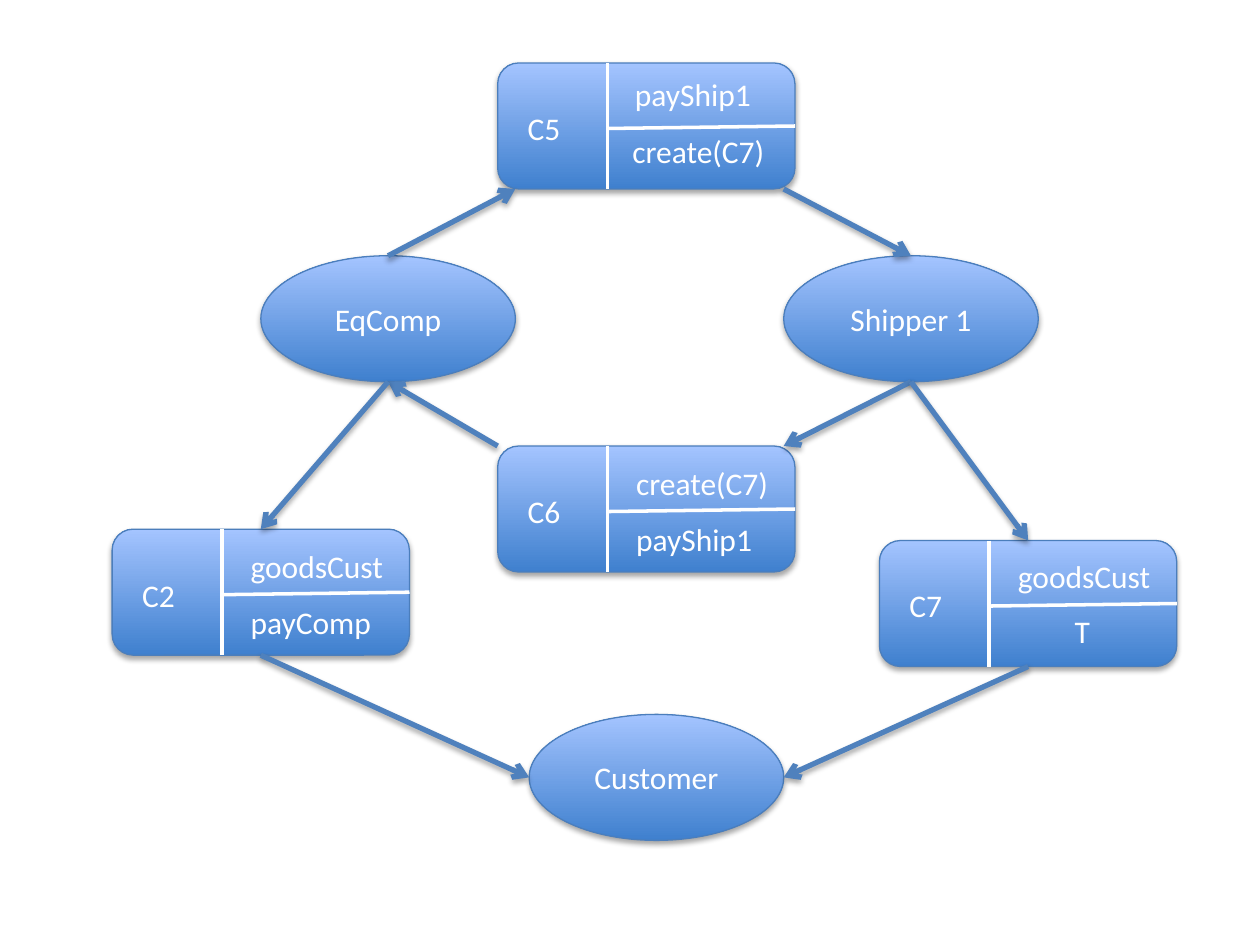
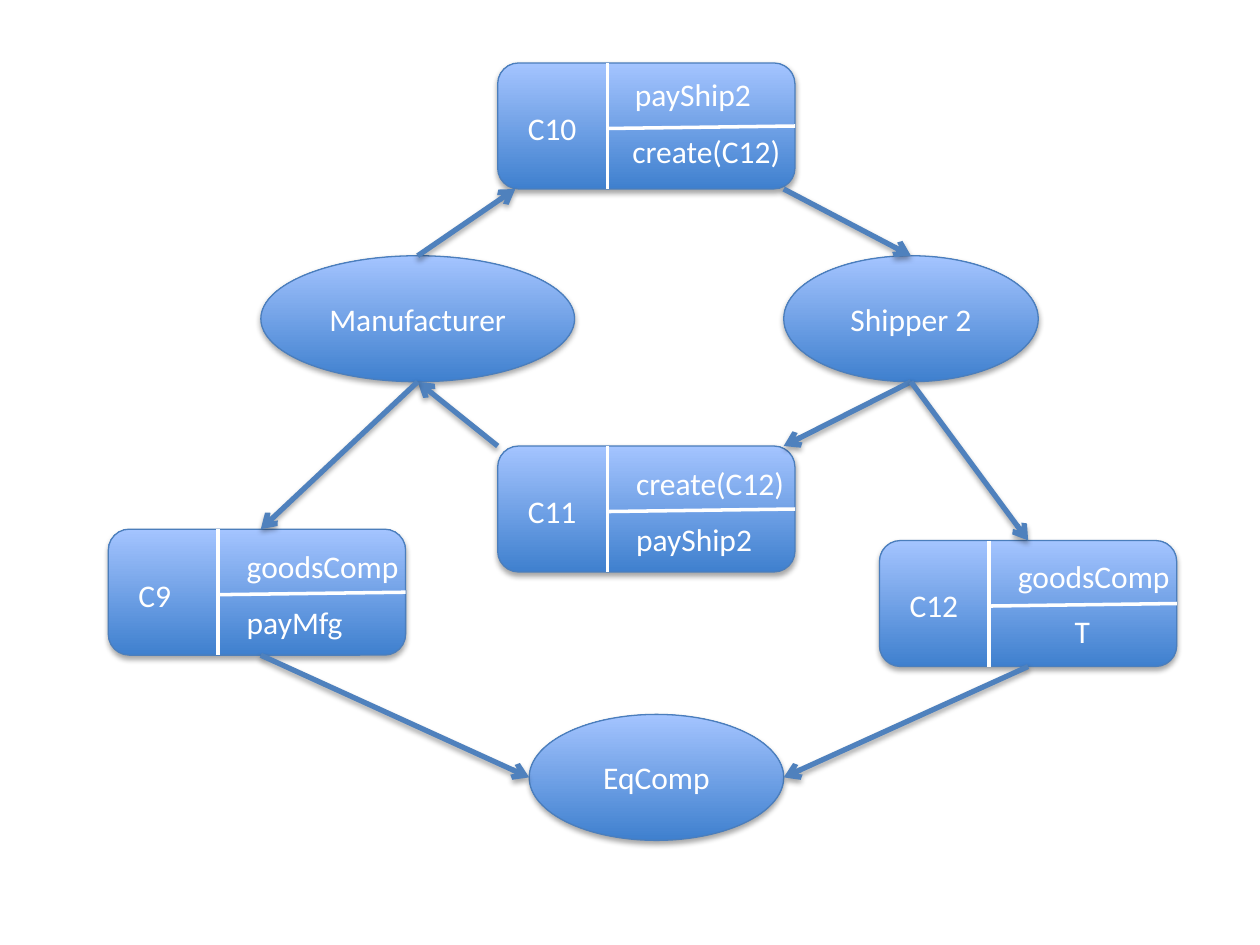
from collections import namedtuple

from lxml import etree
from pptx import Presentation
from pptx.dml.color import RGBColor
from pptx.enum import shapes, text
from pptx.oxml import ns
from pptx.util import Inches, Pt

# Shared look
FILL_BOTTOM = RGBColor(0x3F, 0x80, 0xCE)
FILL_TOP = RGBColor(0xA4, 0xC4, 0xFF)
OUTLINE = RGBColor(0x4B, 0x7E, 0xBC)
ARROW = RGBColor(0x4F, 0x81, 0xBD)
WHITE = RGBColor(0xFF, 0xFF, 0xFF)
FONT, FONT_SIZE = "Calibri", Pt(18)

# Shared sizes, in inches
NODE_W, CARD_W, HEIGHT = 2.02, 2.36, 1
SPLIT_X = 0.87      # divider between a card's label and its two terms
TEXT_H = 0.4
TEXT_WIDTHS = {"payShip1": 1.14, "payShip2": 1.14, "create(C7)": 1.27,
               "create(C12)": 1.4, "goodsCust": 1.27, "goodsComp": 1.42,
               "payComp": 1.17, "payMfg": 0.98, "T": 0.33}
LABEL_WIDTHS = {2: 0.46, 3: 0.59}   # by number of characters

# Offsets of label, upper term and lower term inside a card
SPOTS = ((0.14, 0.32), (1, 0.09), (1, 0.54))
TOP_SPOTS = ((0.14, 0.32), (0.99, 0.05), (0.97, 0.5))
RIGHT_SPOTS = ((0.14, 0.31), (1, 0.08), (1.45, 0.52))


class Box(namedtuple("Box", "x y w h")):
    def point(self, across, down):
        """Point at the given fractions of the width and height."""
        return self.x + across * self.w, self.y + down * self.h


def add_shadow(effects):
    shadow = etree.SubElement(effects, ns.qn("a:outerShdw"), blurRad="40000",
                              dist="23000", dir="5400000", rotWithShape="0")
    color = etree.SubElement(shadow, ns.qn("a:srgbClr"), val="000000")
    etree.SubElement(color, ns.qn("a:alpha"), val="35000")


def add_run(tf, words):
    r = tf.paragraphs[0].add_run()
    r.text = words
    r.font.name, r.font.size = FONT, FONT_SIZE
    r.font.color.rgb = WHITE


def add_body(parent, kind, box):
    """Gradient shape with outline and shadow."""
    sp = parent.add_shape(kind, *map(Inches, box))
    sp.fill.gradient()
    sp.fill.gradient_angle = 90
    for stop, color in zip(sp.fill.gradient_stops, (FILL_BOTTOM, FILL_TOP)):
        stop.color.rgb = color
    sp.line.color.rgb, sp.line.width = OUTLINE, Pt(0.75)
    sp.shadow.inherit = False
    add_shadow(sp._element.spPr.find(ns.qn("a:effectLst")))
    return sp


def add_line(parent, start, end, color, width, arrow=False):
    line = parent.add_connector(shapes.MSO_CONNECTOR.STRAIGHT,
                                *map(Inches, (*start, *end)))
    line.line.color.rgb, line.line.width = color, Pt(width)
    props = line._element.spPr
    effects = etree.SubElement(props, ns.qn("a:effectLst"))
    if arrow:
        etree.SubElement(props.find(ns.qn("a:ln")), ns.qn("a:tailEnd"), type="arrow")
        add_shadow(effects)


def add_node(s, box, name):
    tf = add_body(s.shapes, shapes.MSO_SHAPE.OVAL, box).text_frame
    tf.word_wrap = True
    tf.vertical_anchor = text.MSO_ANCHOR.MIDDLE
    tf.paragraphs[0].alignment = text.PP_ALIGN.CENTER
    add_run(tf, name)


def add_card(s, box, words, spots=SPOTS):
    """Grouped card: label on the left, two terms on the right."""
    parts = s.shapes.add_group_shape().shapes
    add_body(parts, shapes.MSO_SHAPE.ROUNDED_RECTANGLE, box)
    split = box.x + SPLIT_X
    add_line(parts, (split, box.y), (split, box.y + box.h), WHITE, 2)
    add_line(parts, box.point(1, 0.5), (split, box.y + 0.52), WHITE, 2)
    for word, (dx, dy) in zip(words, spots):
        width = TEXT_WIDTHS.get(word) or LABEL_WIDTHS[len(word)]
        tb = parts.add_textbox(*map(Inches, (box.x + dx, box.y + dy, width, TEXT_H)))
        tb.text_frame.word_wrap = False
        tb.text_frame.auto_size = text.MSO_AUTO_SIZE.SHAPE_TO_FIT_TEXT
        add_run(tb.text_frame, word)


def add_exchange(prs, nodes, cards, source_w=NODE_W, left_x=0.89):
    """Slide with three parties and the four contracts between them."""
    s = prs.slides.add_slide(prs.slide_layouts[6])
    source = Box(2.07, 2.03, source_w, HEIGHT)
    shipper = Box(6.22, 2.03, NODE_W, HEIGHT)
    target = Box(4.2, 5.67, NODE_W, HEIGHT)
    top = Box(3.95, 0.5, CARD_W, HEIGHT)
    middle = Box(3.95, 3.54, CARD_W, HEIGHT)
    right = Box(6.98, 4.29, CARD_W, HEIGHT)
    left = Box(left_x, 4.2, CARD_W, HEIGHT)

    # Parties and contracts
    for box, name in zip((source, shipper, target), nodes):
        add_node(s, box, name)
    for box, words, spots in zip((top, middle, right, left), cards,
                                 (TOP_SPOTS, SPOTS, RIGHT_SPOTS, SPOTS)):
        add_card(s, box, words, spots)

    # Arrows
    source_foot, shipper_foot = source.point(0.5, 1), shipper.point(0.5, 1)
    shipper_x = shipper.x
    for start, end in (
            (source.point(0.5, 0), (top.x + 0.14, top.y + top.h)),
            ((shipper_x, top.y + top.h), shipper.point(0.5, 0)),
            (shipper_foot, (shipper_x, middle.y)),
            (middle.point(0, 0), source_foot),
            (source_foot, (source.x, left.y)),
            ((source.x, left.y + left.h), target.point(0, 0.5)),
            (shipper_foot, right.point(0.5, 0)),
            (right.point(0.5, 1), target.point(1, 0.5))):
        add_line(s.shapes, start, end, ARROW, 3, arrow=True)


prs = Presentation()
prs.slide_width, prs.slide_height = Inches(10), Inches(7.5)

add_exchange(prs, ("EqComp", "Shipper 1", "Customer"),
             (("C5", "payShip1", "create(C7)"),
              ("C6", "create(C7)", "payShip1"),
              ("C7", "goodsCust", "T"),
              ("C2", "goodsCust", "payComp")))
add_exchange(prs, ("Manufacturer", "Shipper 2", "EqComp"),
             (("C10", "payShip2", "create(C12)"),
              ("C11", "create(C12)", "payShip2"),
              ("C12", "goodsComp", "T"),
              ("C9", "goodsComp", "payMfg")),
             source_w=2.49, left_x=0.86)

prs.save("out.pptx")
